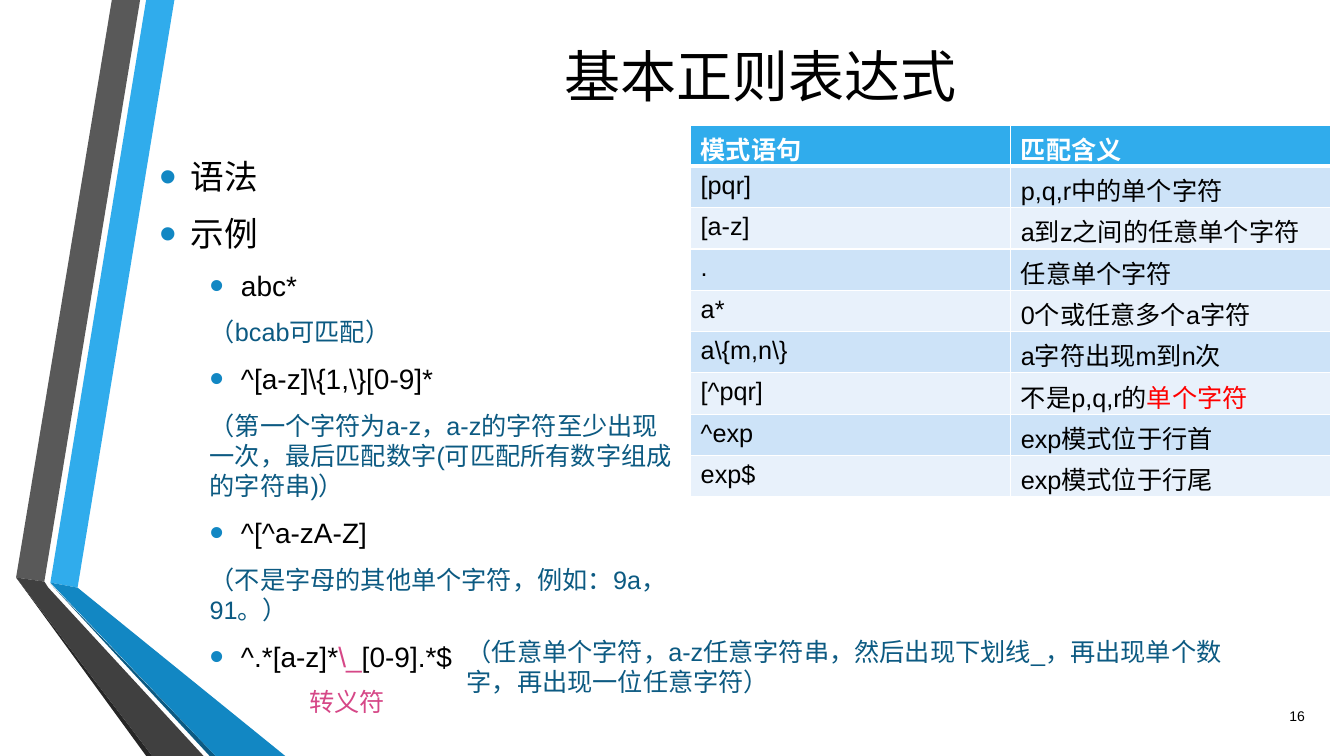
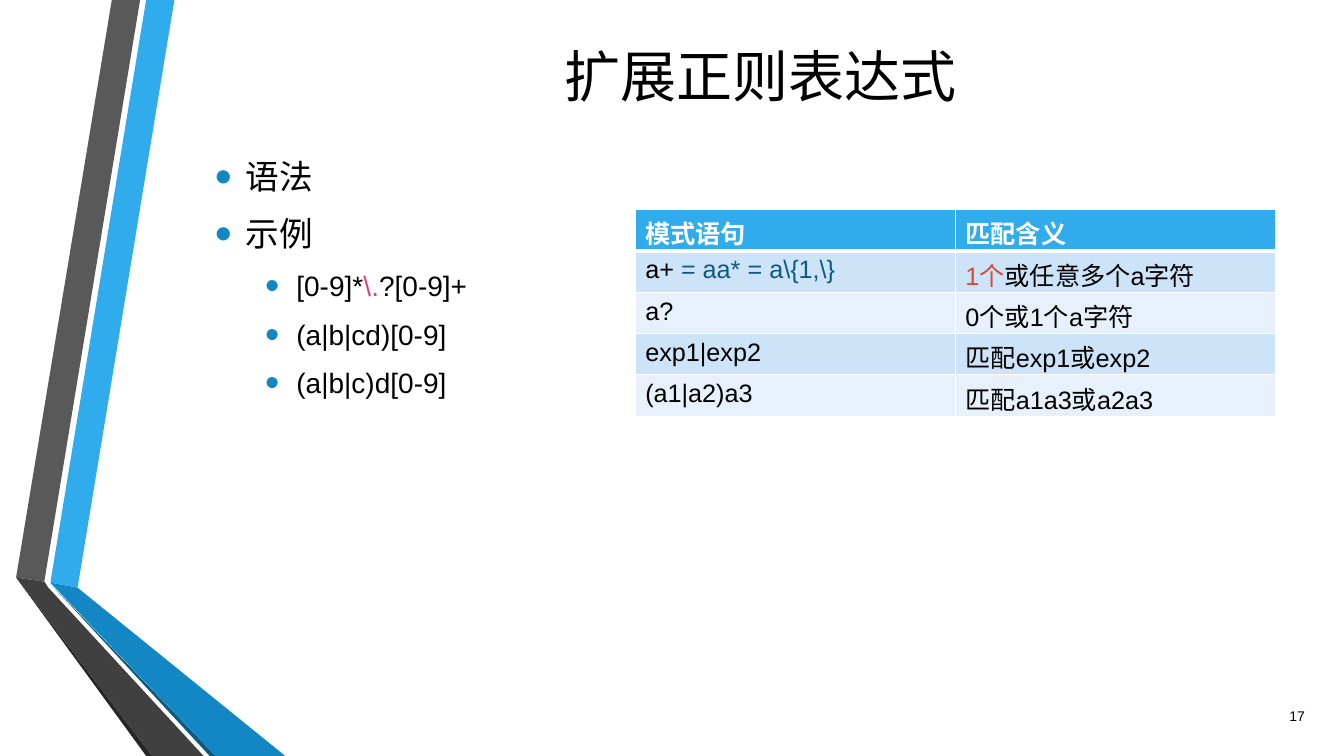
import pptx
import pptx.util
import pptx.dml.color
import pptx.enum.text
import pptx.oxml.ns
import lxml.etree

Inches = pptx.util.Inches
Pt = pptx.util.Pt
ALIGN = pptx.enum.text.PP_ALIGN
ANCHOR = pptx.enum.text.MSO_ANCHOR

# Shared look
FONT = "Arial"
COLORS = {
    "black": "000000", "white": "FFFFFF", "sky": "30ACEC", "blue": "1287C3",
    "navy": "0C5A82", "gray": "595959", "dark": "404040", "coal": "262626",
    "pink": "D64787", "red": "FF0000", "rust": "D64A3B",
    "odd": "CDE3F8", "even": "E8F1FB",
}
BANDS = [
    ("sky", [(0.5, 5.78), (0.77, 5.83), (1.73, 0), (1.45, 0)]),
    ("gray", [(1.39, 0), (1.11, 0), (0.16, 5.73), (0.44, 5.77)]),
    ("coal", [(0.16, 5.73), (1.45, 7.5), (1.51, 7.5)]),
    ("navy", [(0.5, 5.79), (2.08, 7.5), (2.14, 7.5)]),
    ("blue", [(0.5, 5.78), (2.14, 7.5), (2.83, 7.5), (0.77, 5.83)]),
    ("dark", [(2.02, 7.5), (0.48, 5.83), (0.44, 5.77), (0.16, 5.73), (1.51, 7.5)]),
]
HEAD = ("模式语句", "匹配含义")
ROW = 0.41

# Content: a text is a string or a list of (text, color) runs
BASIC_LIST = [
    ("top", "语法"),
    ("top", "示例"),
    ("sub", "abc*"),
    ("note", "（bcab可匹配）"),
    ("sub", r"^[a-z]\{1,\}[0-9]*"),
    ("note", "（第一个字符为a-z，a-z的字符至少出现一次，最后匹配数字(可匹配所有数字组成的字符串)）"),
    ("sub", "^[^a-zA-Z]"),
    ("note", "（不是字母的其他单个字符，例如：9a，91。）"),
    ("sub", [("^.*[a-z]*", "black"), (r"\_", "pink"), ("[0-9].*$", "black")]),
]
BASIC_ROWS = [
    ("[pqr]", "p,q,r中的单个字符"),
    ("[a-z]", "a到z之间的任意单个字符"),
    (".", "任意单个字符"),
    ("a*", "0个或任意多个a字符"),
    (r"a\{m,n\}", "a字符出现m到n次"),
    ("[^pqr]", [("不是p,q,r的", "black"), ("单个字符", "red")]),
    ("^exp", "exp模式位于行首"),
    ("exp$", "exp模式位于行尾"),
]
MORE_LIST = [
    ("top", "语法"),
    ("top", "示例"),
    ("sub", [("[0-9]*", "black"), (r"\.", "pink"), ("?[0-9]+", "black")]),
    ("sub", "(a|b|cd)[0-9]"),
    ("sub", "(a|b|c)d[0-9]"),
]
MORE_ROWS = [
    ([("a+ ", "black"), (r"= aa* = a\{1,\}", "navy")],
     [("1个", "rust"), ("或任意多个a字符", "black")]),
    ("a?", "0个或1个a字符"),
    ("exp1|exp2", "匹配exp1或exp2"),
    ("(a1|a2)a3", "匹配a1a3或a2a3"),
]

# List styles: level, size, color, left margin, indent
STYLES = {
    "top": (0, 24, "black", 0.31, -0.31),
    "sub": (1, 20, "black", 0.81, -0.31),
    "note": (1, 18, "navy", 0.5, 0),
}


def shade(name):
    return pptx.dml.color.RGBColor.from_string(COLORS[name])


def node(parent, tag, **attrs):
    item = lxml.etree.SubElement(parent, pptx.oxml.ns.qn("a:" + tag))
    for key, value in attrs.items():
        item.set(key, str(value))
    return item


def place(shape, box):
    shape.left, shape.top, shape.width, shape.height = map(Inches, box)


def write(par, text, size, color="black", bold=False):
    runs = [(text, color)] if isinstance(text, str) else text
    for words, tint in runs:
        run = par.add_run()
        run.text = words
        run.font.name = FONT
        run.font.size = Pt(size)
        run.font.bold = bold
        run.font.color.rgb = shade(tint)


def add_bands(slide):
    for color, spots in BANDS:
        points = [(Inches(x), Inches(y)) for x, y in spots]
        path = slide.shapes.build_freeform(*points[0], scale=1.0)
        path.add_line_segments(points[1:], close=True)
        band = path.convert_to_shape()
        band.shadow.inherit = False
        band.fill.solid()
        band.fill.fore_color.rgb = shade(color)
        band.line.fill.background()


def add_label(slide, box, text, size, color="black", align=ALIGN.LEFT,
              anchor=ANCHOR.TOP, wrap=True):
    frame = slide.shapes.add_textbox(*map(Inches, box)).text_frame
    frame.word_wrap = wrap
    frame.vertical_anchor = anchor
    par = frame.paragraphs[0]
    par.alignment = align
    write(par, text, size, color)


def set_bullet(par, kind):
    level, size, color, left, indent = STYLES[kind]
    par.level = level
    props = par._p.get_or_add_pPr()
    props.set("marL", str(Inches(left)))
    props.set("indent", str(Inches(indent)))
    if kind == "note":
        node(props, "buNone")
    else:
        node(node(props, "buClr"), "srgbClr", val=COLORS["blue"])
        node(props, "buSzPct", val=145000)
        node(props, "buFont", typeface=FONT)
        node(props, "buChar", char="•")


def fill_list(body, box, items):
    place(body, box)
    frame = body.text_frame
    frame.auto_size = pptx.enum.text.MSO_AUTO_SIZE.NONE
    frame.margin_top = Inches(0.2)
    for count, (kind, text) in enumerate(items):
        par = frame.add_paragraph() if count else frame.paragraphs[0]
        set_bullet(par, kind)
        size, color = STYLES[kind][1:3]
        par.space_before = Pt(0.24 * size if count else 0)
        par.space_after = Pt(6)
        write(par, text, size, color)


def set_edges(cell, top, bottom):
    props = cell._tc.get_or_add_tcPr()
    for side, width in (("L", 1), ("R", 1), ("T", top), ("B", bottom)):
        edge = node(props, "ln" + side, w=Pt(width))
        node(node(edge, "solidFill"), "srgbClr", val=COLORS["white"])


def add_grid(slide, left, top, rows):
    lines = [HEAD] + rows
    frame = slide.shapes.add_table(
        len(lines), len(HEAD), Inches(left), Inches(top),
        Inches(6.35), Inches(ROW * len(lines)))
    for r, line in enumerate(lines):
        for c, text in enumerate(line):
            cell = frame.table.cell(r, c)
            set_edges(cell, 3 if r == 1 else 1, 1 if r else 3)
            cell.fill.solid()
            back = ("odd" if r % 2 else "even") if r else "sky"
            cell.fill.fore_color.rgb = shade(back)
            write(cell.text_frame.paragraphs[0], text, 18,
                  "black" if r else "white", bold=r == 0)


def add_page(deck, title, number, box, items):
    slide = deck.slides.add_slide(deck.slide_layouts[1])
    add_bands(slide)
    # Title
    head = slide.shapes.title
    place(head, (2.03, 0.26, 11.02, 0.98))
    head.text_frame.vertical_anchor = ANCHOR.MIDDLE
    par = head.text_frame.paragraphs[0]
    par.alignment = ALIGN.CENTER
    write(par, title, 40)
    # List and page number
    fill_list(slide.placeholders[1], box, items)
    add_label(slide, (12.44, 6.9, 0.6, 0.4), number, 10,
              align=ALIGN.RIGHT, anchor=ANCHOR.MIDDLE)
    return slide


def main():
    deck = pptx.Presentation()
    deck.slide_width, deck.slide_height = Inches(13.33), Inches(7.5)

    # Basic expressions
    slide = add_page(deck, "基本正则表达式", "16", (1.48, 1.35, 5.36, 5.68), BASIC_LIST)
    add_grid(slide, 6.85, 1.24, BASIC_ROWS)
    add_label(slide, (4.53, 6.26, 7.91, 1.01),
              "（任意单个字符，a-z任意字符串，然后出现下划线_，再出现单个数字，再出现一位任意字符）",
              18, "navy")
    add_label(slide, (2.97, 6.76, 0.96, 0.4), "转义符", 18, "pink", wrap=False)

    # Extended expressions
    slide = add_page(deck, "扩展正则表达式", "17", (2.03, 1.35, 11.02, 5.41), MORE_LIST)
    add_grid(slide, 6.3, 2.08, MORE_ROWS)

    deck.save("out.pptx")


if __name__ == "__main__":
    main()
